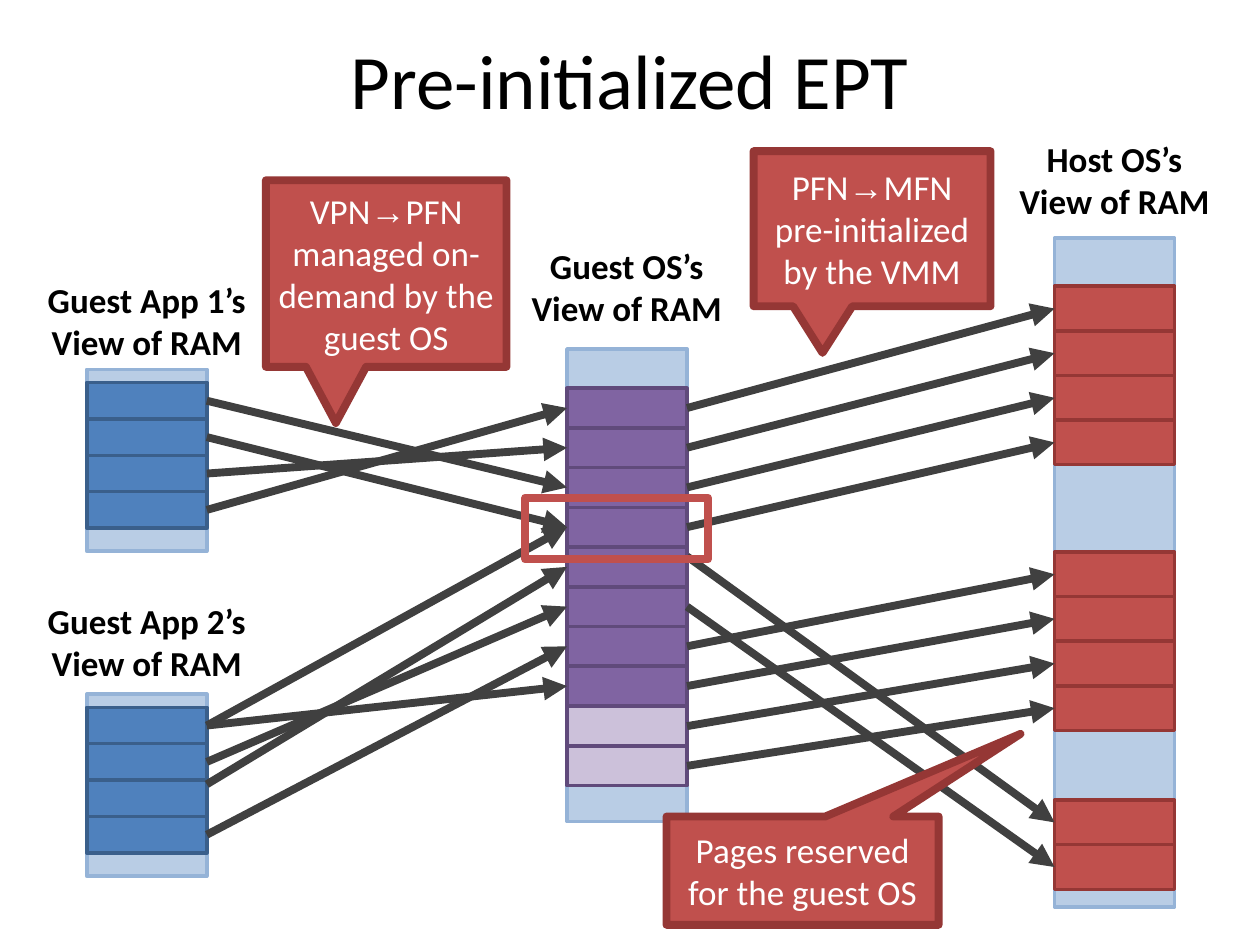
from lxml import etree
from pptx import Presentation
from pptx.dml.color import RGBColor
from pptx.enum import shapes, text
from pptx.oxml import ns
from pptx.util import Pt

COLORS = {
    "black": "000000", "white": "FFFFFF", "arrow": "404040",
    "ram": "B9CDE5", "ram_edge": "95B3D7",
    "app": "4F81BD", "app_edge": "3A5F8B",
    "guest": "8064A2", "guest_free": "CCC1DA", "guest_edge": "604A7B",
    "host": "C0504D", "host_edge": "953735",
}
COLUMN_WIDTH = 68.6
APP_X, GUEST_X, HOST_X = 49.6, 324, 602.6

deck = Presentation()
deck.slide_width, deck.slide_height = Pt(720), Pt(540)
page = deck.slides.add_slide(deck.slide_layouts[6])


def add_block(kind, left, top, width, height, fill, edge, weight=2):
    block = page.shapes.add_shape(kind, Pt(left), Pt(top), Pt(width), Pt(height))
    block.shadow.inherit = False
    if fill:
        block.fill.solid()
        block.fill.fore_color.rgb = RGBColor.from_string(COLORS[fill])
    else:
        block.fill.background()
    block.line.color.rgb = RGBColor.from_string(COLORS[edge])
    block.line.width = Pt(weight)
    return block


def write_centered(box, lines, size, color, bold=False):
    """Fill a box with one centred paragraph per line; arrows are set in Arial."""
    frame = box.text_frame
    frame.vertical_anchor = text.MSO_ANCHOR.MIDDLE
    for index, line in enumerate(lines):
        para = frame.add_paragraph() if index else frame.paragraphs[0]
        para.alignment = text.PP_ALIGN.CENTER
        para.font.size = Pt(size)
        para.font.bold = bold
        para.font.color.rgb = RGBColor.from_string(COLORS[color])
        before, arrow, after = line.partition("→")
        for part in filter(None, (before, arrow, after)):
            span = para.add_run()
            span.text = part
            span.font.name = "Arial" if part == "→" else "Calibri"


title = page.shapes.add_textbox(Pt(36), Pt(0), Pt(648), Pt(90))
title.text_frame.word_wrap = True
write_centered(title, ["Pre-initialized EPT"], 44, "black")

# Address spaces: owner, left, top, height, label left, label top, label width
for owner, left, top, height, label_left, label_top, label_width in (
    ("Guest App 1’s", APP_X, 211, 104, 20.2, 155.5, 127.4),
    ("Guest App 2’s", APP_X, 396.7, 104, 20.2, 339.1, 127.4),
    ("Guest OS’s", GUEST_X, 199.4, 270, 296.6, 136.1, 123.1),
    ("Host OS’s", HOST_X, 136.1, 382.3, 575.3, 74.9, 123.1),
):
    add_block(shapes.MSO_SHAPE.RECTANGLE, left, top, COLUMN_WIDTH, height, "ram", "ram_edge")
    label = page.shapes.add_textbox(Pt(label_left), Pt(label_top), Pt(label_width), Pt(55.4))
    label.text_frame.word_wrap = False
    write_centered(label, [owner, "View of RAM"], 20, "black", bold=True)

# Runs of memory pages: space, left, first top, page height, count, fill, edge
frames = {"app1": [], "app2": [], "guest": [], "host": []}
for space, left, top, height, count, fill, edge in (
    ("app1", APP_X, 218.6, 20.8, 4, "app", "app_edge"),
    ("app2", APP_X, 404.2, 20.8, 4, "app", "app_edge"),
    ("guest", GUEST_X, 221.8, 22.7, 8, "guest", "guest_edge"),
    ("guest", GUEST_X, 403.6, 22.7, 2, "guest_free", "guest_edge"),
    ("host", HOST_X, 163.6, 25.5, 4, "host", "host_edge"),
    ("host", HOST_X, 315.4, 25.5, 4, "host", "host_edge"),
    ("host", HOST_X, 457.2, 25.5, 2, "host", "host_edge"),
):
    for index in range(count):
        frames[space].append(add_block(
            shapes.MSO_SHAPE.RECTANGLE, left, top + index * height,
            COLUMN_WIDTH, height, fill, edge))

# Mappings: (source page, target page, start offset from the middle of the side)
mappings = {
    ("app1", "guest"): [(0, 2, 0), (1, 3, 0), (2, 1, 0), (3, 0, 0)],
    ("app2", "guest"): [(0, 3, 0), (0, 7, 0), (1, 5, 0), (2, 4, -8), (3, 6, 0)],
    ("guest", "host"): [(0, 0, 0), (1, 1, 0), (2, 2, 0), (3, 3, 0), (4, 8, -6),
                        (5, 9, 0), (6, 4, 0), (7, 5, 0), (8, 6, 0), (9, 7, 0)],
}
for (source_space, target_space), links in mappings.items():
    for source_index, target_index, offset in links:
        source = frames[source_space][source_index]
        target = frames[target_space][target_index]
        arrow = page.shapes.add_connector(
            shapes.MSO_CONNECTOR.STRAIGHT,
            source.left + source.width, source.top + source.height // 2 + Pt(offset),
            target.left, target.top + target.height // 2)
        if not offset:
            arrow.begin_connect(source, 3)
        arrow.end_connect(target, 1)
        arrow.line.color.rgb = RGBColor.from_string(COLORS["arrow"])
        arrow.line.width = Pt(4.5)
        etree.SubElement(arrow.line._get_or_add_ln(), ns.qn("a:tailEnd"), type="triangle")
        etree.SubElement(arrow._element.spPr, ns.qn("a:effectLst"))

# Highlight around the guest page shared by both apps
add_block(shapes.MSO_SHAPE.RECTANGLE, 300.2, 284.4, 104.4, 35.3, None, "host", 4.5)

for message, left, top, width, height, tip_x, tip_y in (
    ("PFN→MFN pre-initialized by the VMM", 430.6, 86.4, 135.4, 88.6, -0.209, 0.801),
    ("VPN→PFN managed on-demand by the guest OS", 151.9, 103, 137.5, 106.6, -0.209, 0.801),
    ("Pages reserved for the guest OS", 380.9, 466.6, 155.5, 61.9, 0.801, -1.263),
):
    callout = add_block(shapes.MSO_SHAPE.RECTANGULAR_CALLOUT, left, top, width, height,
                        "host", "host_edge", 4.5)
    callout.adjustments[0], callout.adjustments[1] = tip_x, tip_y
    callout.text_frame.word_wrap = True
    write_centered(callout, [message], 20, "white")

deck.save("out.pptx")
